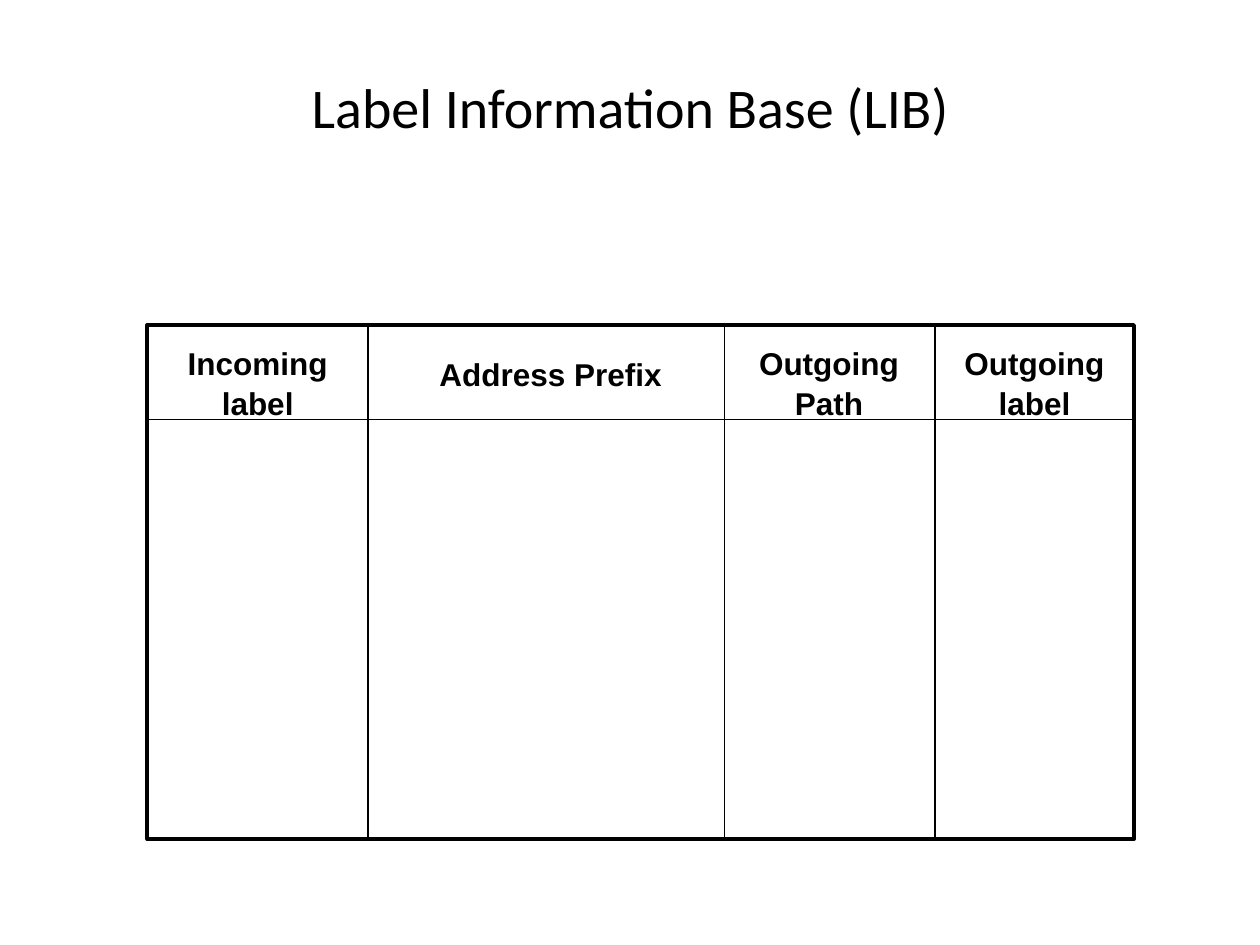
from dataclasses import dataclass

from lxml import etree
from pptx import Presentation
from pptx import util as u
from pptx.dml import color
from pptx.enum import shapes, text
from pptx.oxml import ns


@dataclass(frozen=True)
class Theme:
    """Colours, fonts and sizes of the slide."""
    ink: color.RGBColor = color.RGBColor(0, 0, 0)
    title_font: str = "Calibri"
    label_font: str = "Arial"
    title_size: int = 32
    label_size: int = 18
    frame_width: float = 2.25
    rule_width: float = 1


THEME = Theme()


def add_label(page, area, words, font, spacing, frame_format):
    """Place centred text in the given box."""
    box = page.shapes.add_textbox(*map(u.Inches, area))
    frame = box.text_frame
    for name, value in {"word_wrap": True, **frame_format}.items():
        setattr(frame, name, value)
    para = frame.paragraphs[0]
    para.alignment = text.PP_ALIGN.CENTER
    para.line_spacing = spacing
    span = para.add_run()
    span.text = words
    for name, value in font.items():
        setattr(span.font, name, value)
    span.font.color.rgb = THEME.ink


def add_title(page, area):
    """Place the slide title."""
    font = {"name": THEME.title_font, "size": u.Pt(THEME.title_size)}
    frame_format = {
        "vertical_anchor": text.MSO_ANCHOR.MIDDLE,
        "margin_bottom": u.Inches(0.54),
    }
    add_label(page, area, "Label Information Base (LIB)", font, 0.9, frame_format)


def add_rule(page, start, end):
    """Draw a thin straight rule between two points."""
    rule = page.shapes.add_connector(
        shapes.MSO_CONNECTOR.STRAIGHT, *map(u.Inches, (*start, *end)))
    rule.line.color.rgb = THEME.ink
    rule.line.width = u.Pt(THEME.rule_width)
    etree.SubElement(rule._element.spPr, ns.qn("a:effectLst"))


def add_grid(page, area, columns, header_height):
    """Draw the outer frame, the column rules and the header rule."""
    left, top, width, height = area
    frame = page.shapes.add_shape(
        shapes.MSO_SHAPE.RECTANGLE, *map(u.Inches, area))
    frame.shadow.inherit = False
    frame.fill.background()
    frame.line.color.rgb = THEME.ink
    frame.line.width = u.Pt(THEME.frame_width)
    for column in columns:
        add_rule(page, (column, top), (column, top + height))
    header = top + header_height
    add_rule(page, (left, header), (left + width, header))


def add_headings(page, headings):
    """Place the column headings in their boxes."""
    font = {"name": THEME.label_font, "size": u.Pt(THEME.label_size), "bold": True}
    frame_format = {"auto_size": text.MSO_AUTO_SIZE.SHAPE_TO_FIT_TEXT}
    for words, area in headings.items():
        add_label(page, area, words, font, 1.05, frame_format)


def main():
    """Build and save the deck."""
    deck = Presentation()
    deck.slide_width, deck.slide_height = u.Inches(10), u.Inches(7.5)
    page = deck.slides.add_slide(deck.slide_layouts[6])
    add_title(page, (0.69, 0.4, 8.63, 1.45))
    add_grid(page, (1.17, 2.58, 7.83, 4.08), (2.92, 5.75, 7.42), 0.75)
    add_headings(page, {
        "Incoming label": (1.17, 2.67, 1.75, 0.7),
        "Address Prefix": (3.08, 2.75, 2.58, 0.4),
        "Outgoing Path": (5.83, 2.67, 1.5, 0.7),
        "Outgoing label": (7.42, 2.67, 1.58, 0.7),
    })
    deck.save("out.pptx")


if __name__ == "__main__":
    main()
